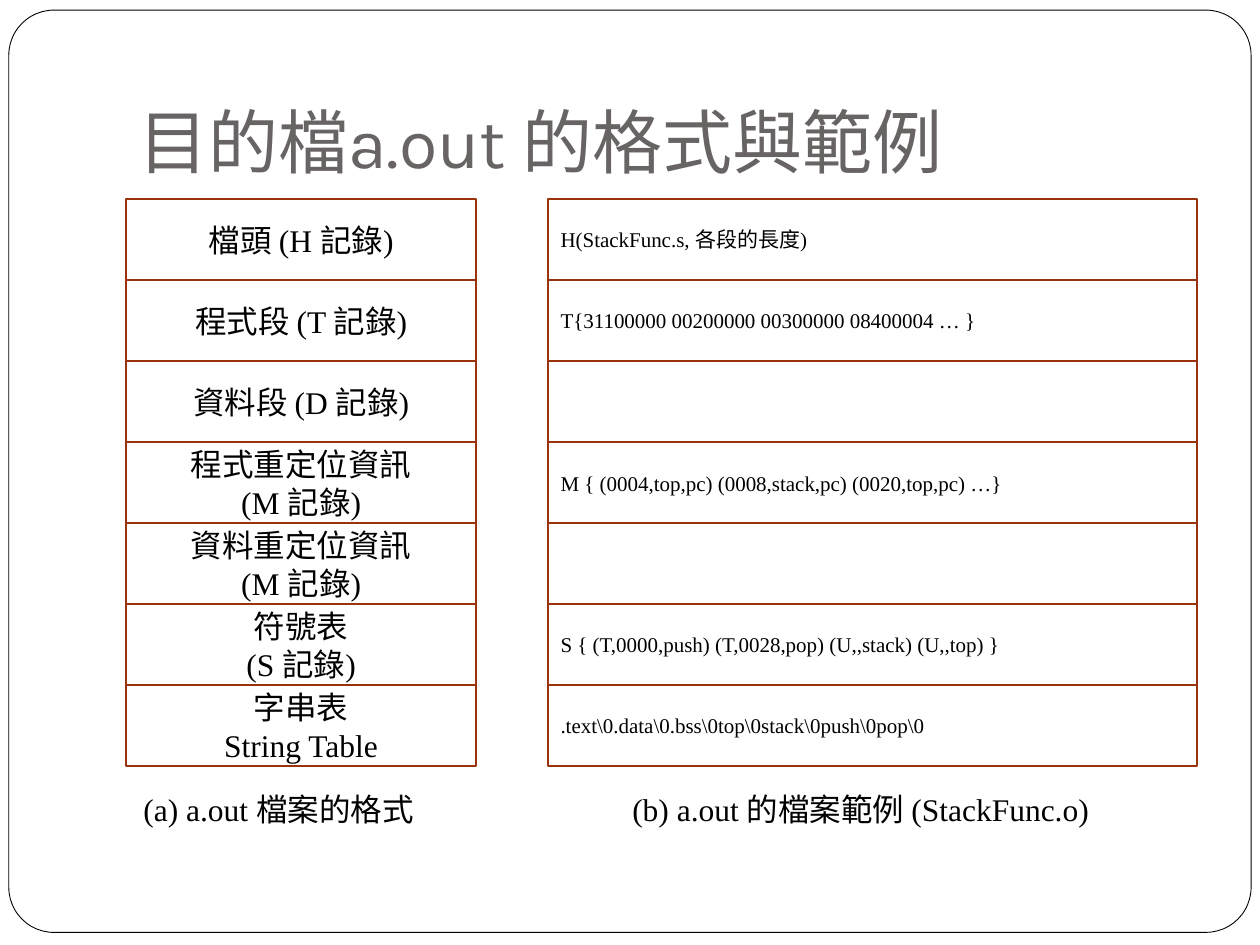
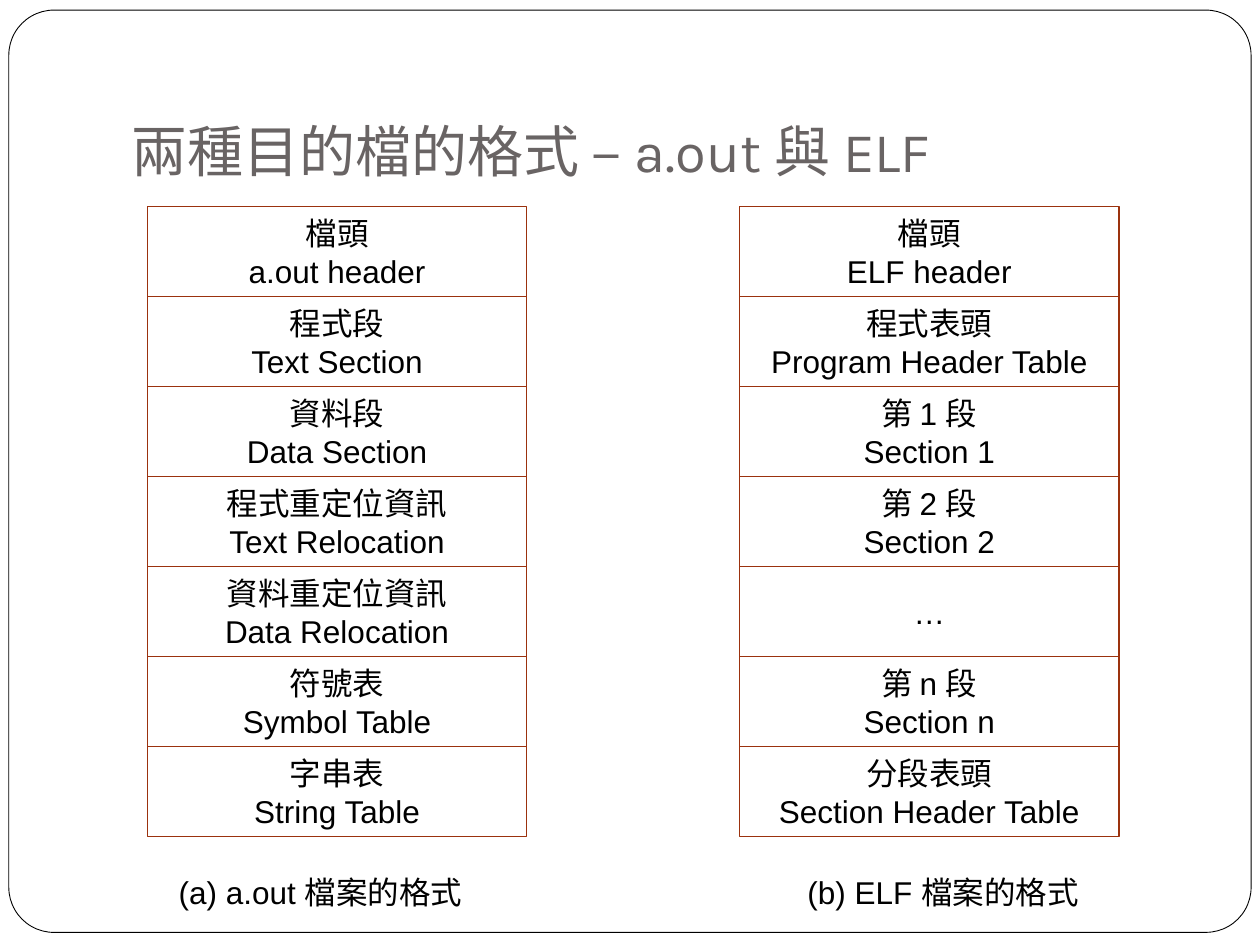
from dataclasses import dataclass

from pptx import Presentation
from pptx.dml.color import RGBColor
from pptx.enum.shapes import MSO_SHAPE
from pptx.enum.text import MSO_ANCHOR, MSO_AUTO_SIZE, PP_ALIGN
from pptx.util import Inches, Pt

RECTANGLE, ROUNDED = MSO_SHAPE.RECTANGLE, MSO_SHAPE.ROUNDED_RECTANGLE
LEFT, CENTER = PP_ALIGN.LEFT, PP_ALIGN.CENTER
TOP, MIDDLE, BOTTOM = MSO_ANCHOR.TOP, MSO_ANCHOR.MIDDLE, MSO_ANCHOR.BOTTOM
NO_AUTOFIT = MSO_AUTO_SIZE.NONE
TITLE_ONLY = 5


@dataclass(frozen=True)
class Theme:
    white = RGBColor(0xFF, 0xFF, 0xFF)
    black = RGBColor(0, 0, 0)
    title = RGBColor(0x69, 0x64, 0x64)
    border = RGBColor(0x9B, 0x32, 0x0E)
    title_font = "Karla"
    serif = "Times New Roman"
    sans = "Arial"
    body_size = 18
    sample_size = 12
    border_width = Pt(1)
    frame_width = Pt(0.5)


THEME = Theme()


def place(shape, box):
    shape.left, shape.top, shape.width, shape.height = (Inches(n) for n in box)


def write(shape, lines, font, size, color=THEME.black, align=LEFT,
          anchor=TOP, wrap=True, bottom=0.05):
    """Write one paragraph for each line of text."""
    frame = shape.text_frame
    frame.auto_size = NO_AUTOFIT
    frame.word_wrap = wrap
    frame.vertical_anchor = anchor
    frame.margin_left = frame.margin_right = Inches(0.1)
    frame.margin_top, frame.margin_bottom = Inches(0.05), Inches(bottom)
    for index, line in enumerate(lines):
        paragraph = frame.add_paragraph() if index else frame.paragraphs[0]
        paragraph.alignment = align
        run = paragraph.add_run()
        run.text = line
        run.font.name, run.font.size = font, Pt(size)
        run.font.color.rgb = color


def add_frame(slide, box):
    """Draw the rounded page frame and move it to the shared layout."""
    frame = slide.shapes.add_shape(ROUNDED, *(Inches(n) for n in box))
    frame.adjustments[0] = 0.049
    frame.shadow.inherit = False
    frame.fill.solid()
    frame.fill.fore_color.rgb = THEME.white
    frame.line.color.rgb = THEME.black
    frame.line.width = THEME.frame_width
    frame.element.nvSpPr.cNvPr.set("id", "20")
    slide.slide_layout.shapes.element.insert(2, frame.element)


def add_title(slide, box, text, size):
    title = slide.shapes.title
    place(title, box)
    write(title, [text], THEME.title_font, size, THEME.title,
          anchor=BOTTOM, bottom=0.1)


def add_stack(slide, box, cells, font, size=THEME.body_size, align=CENTER):
    """Fill the box with equally tall cells; each cell is a list of lines."""
    left, top, width, height = box
    row_height = height / len(cells)
    for row, lines in enumerate(cells):
        cell = slide.shapes.add_shape(
            RECTANGLE, Inches(left), Inches(top + row * row_height),
            Inches(width), Inches(row_height))
        cell.shadow.inherit = False
        cell.fill.background()
        cell.line.color.rgb = THEME.border
        cell.line.width = THEME.border_width
        write(cell, lines, font, size, align=align, anchor=MIDDLE)


def add_caption(slide, box, text, font):
    caption = slide.shapes.add_textbox(*(Inches(n) for n in box))
    write(caption, [text], font, THEME.body_size, wrap=False)


def build_example_slide(slide):
    """The a.out records beside a sample file."""
    add_title(slide, (1, 0.3, 8.5, 1.25), "目的檔a.out 的格式與範例", 40)
    records = [
        ["檔頭 (H 記錄)"],
        ["程式段 (T 記錄)"],
        ["資料段 (D 記錄)"],
        ["程式重定位資訊", "(M 記錄)"],
        ["資料重定位資訊", "(M 記錄)"],
        ["符號表", "(S 記錄)"],
        ["字串表", "String Table"],
    ]
    samples = [
        ["H(StackFunc.s, 各段的長度)"],
        ["T{31100000 00200000 00300000 08400004 … }"],
        [],
        ["M { (0004,top,pc) (0008,stack,pc) (0020,top,pc) …}"],
        [],
        ["S { (T,0000,push) (T,0028,pop) (U,,stack) (U,,top) }"],
        [r".text\0.data\0.bss\0top\0stack\0push\0pop\0"],
    ]
    add_stack(slide, (1, 1.58, 2.78, 4.5), records, THEME.serif)
    add_stack(slide, (4.35, 1.58, 5.15, 4.5), samples, THEME.serif,
              THEME.sample_size, LEFT)
    add_caption(slide, (1.04, 6.22, 2.4, 0.4), "(a) a.out 檔案的格式",
                THEME.serif)
    add_caption(slide, (4.92, 6.22, 4.5, 0.4),
                "(b) a.out 的檔案範例 (StackFunc.o)", THEME.serif)


def build_comparison_slide(slide):
    """The a.out and ELF layouts side by side."""
    add_title(slide, (0.94, 0.31, 8.5, 1.25),
              "兩種目的檔的格式 – a.out 與 ELF", 32)
    aout_parts = [
        ["檔頭", "a.out header"],
        ["程式段", "Text Section"],
        ["資料段", "Data Section"],
        ["程式重定位資訊", "Text Relocation"],
        ["資料重定位資訊", "Data Relocation"],
        ["符號表", "Symbol Table"],
        ["字串表", "String Table"],
    ]
    sections = {n: [f"第 {n} 段", f"Section {n}"] for n in "12n"}
    elf_parts = [
        ["檔頭", "ELF header"],
        ["程式表頭", "Program Header Table"],
        sections["1"],
        sections["2"],
        ["…"],
        sections["n"],
        ["分段表頭", "Section Header Table"],
    ]
    add_stack(slide, (1.17, 1.64, 3.01, 5), aout_parts, THEME.sans)
    add_stack(slide, (5.87, 1.64, 3.01, 5), elf_parts, THEME.sans)
    add_caption(slide, (1.32, 6.88, 2.51, 0.4), "(a) a.out 檔案的格式",
                THEME.sans)
    add_caption(slide, (6.31, 6.88, 2.41, 0.4), "(b) ELF 檔案的格式",
                THEME.sans)


presentation = Presentation()
presentation.slide_width, presentation.slide_height = Inches(10), Inches(7.5)
layout = presentation.slide_layouts[TITLE_ONLY]
slides = [presentation.slides.add_slide(layout) for _ in range(2)]
add_frame(slides[0], (0.07, 0.08, 9.86, 7.32))
build_example_slide(slides[0])
build_comparison_slide(slides[1])
presentation.save("out.pptx")
